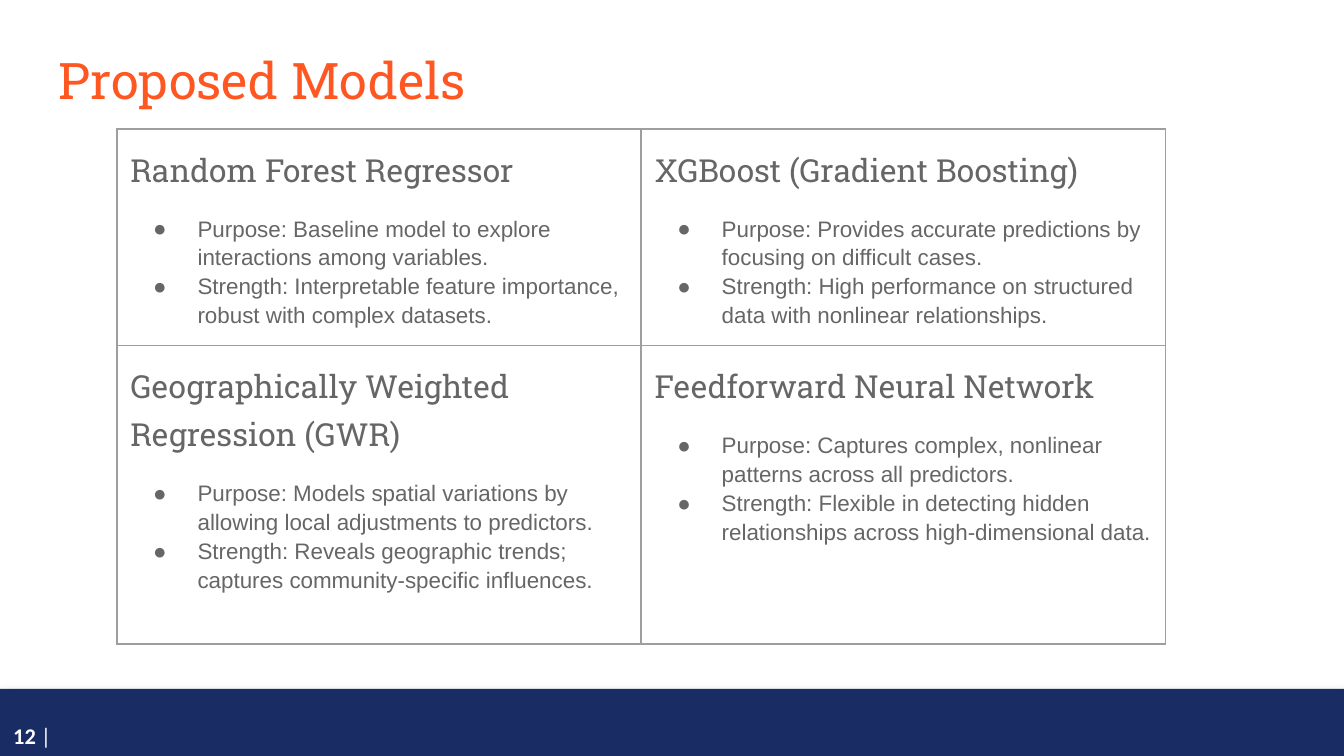
from dataclasses import dataclass

from lxml import etree
from pptx import Presentation
from pptx.dml.color import RGBColor
from pptx.enum.shapes import MSO_SHAPE
from pptx.enum.text import MSO_ANCHOR, PP_ALIGN
from pptx.oxml import parse_xml
from pptx.oxml.ns import nsdecls, qn
from pptx.util import Emu, Inches, Pt

RECT = MSO_SHAPE.RECTANGLE
MIDDLE, TOP = MSO_ANCHOR.MIDDLE, MSO_ANCHOR.TOP
LEFT = PP_ALIGN.LEFT

WIDTH = 10
HEIGHT = WIDTH * 9 / 16
FOOTER_HEIGHT = 0.5
ROW_HEIGHTS = (1.45, 2.22)


@dataclass(frozen=True)
class Theme:
    accent: str = "FF5722"
    text: str = "666666"
    border: str = "9E9E9E"
    footer: str = "1A2C64"
    shadow: str = "808080"
    white: str = "FFFFFF"
    slab: str = "Roboto Slab"
    body: str = "Arial"
    number: str = "Calibri"
    title_size: int = 27
    head_size: int = 17
    body_size: int = 12
    border_width: float = 0.75


T = Theme()

MODELS = [
    [
        ("Random Forest Regressor",
         "Purpose: Baseline model to explore interactions among variables.",
         "Strength: Interpretable feature importance, robust with complex datasets."),
        ("XGBoost (Gradient Boosting)",
         "Purpose: Provides accurate predictions by focusing on difficult cases.",
         "Strength: High performance on structured data with nonlinear relationships."),
    ],
    [
        ("Geographically Weighted Regression (GWR)",
         "Purpose: Models spatial variations by allowing local adjustments to predictors.",
         "Strength: Reveals geographic trends; captures community-specific influences."),
        ("Feedforward Neural Network",
         "Purpose: Captures complex, nonlinear patterns across all predictors.",
         "Strength: Flexible in detecting hidden relationships across high-dimensional data."),
    ],
]


def inches(*values):
    return [Inches(v) for v in values]


def add_run(p, text, font, size, color, bold=False):
    r = p.add_run()
    r.text = text
    r.font.name = font
    r.font.size = Pt(size)
    r.font.bold = bold
    r.font.color.rgb = RGBColor.from_string(color)


def set_margins(frame, side, edge):
    frame.margin_left = frame.margin_right = Inches(side)
    frame.margin_top = frame.margin_bottom = Inches(edge)


def add_bullet(p):
    pPr = p._p.get_or_add_pPr()
    pPr.set("marL", str(Inches(0.5)))
    pPr.set("indent", str(-Inches(0.33)))
    color = etree.SubElement(pPr, qn("a:buClr"))
    etree.SubElement(color, qn("a:srgbClr"), val=T.text)
    etree.SubElement(pPr, qn("a:buSzPts"), val=str(T.body_size * 100))
    etree.SubElement(pPr, qn("a:buFont"), typeface=T.body)
    etree.SubElement(pPr, qn("a:buChar"), char="●")


def add_borders(cell):
    tcPr = cell._tc.get_or_add_tcPr()
    for i, side in enumerate(("lnL", "lnR", "lnT", "lnB")):
        tcPr.insert(i, parse_xml(
            f'<a:{side} {nsdecls("a")} w="{Pt(T.border_width)}"><a:solidFill>'
            f'<a:srgbClr val="{T.border}"/></a:solidFill></a:{side}>'))


def add_title(s, box, text):
    tf = s.shapes.add_textbox(*box).text_frame
    tf.word_wrap = True
    tf.vertical_anchor = MIDDLE
    set_margins(tf, 0.1, 0.1)
    add_run(tf.paragraphs[0], text, T.slab, T.title_size, T.accent)


def add_footer(s, box, number):
    sp = s.shapes.add_shape(RECT, *box)
    sp.fill.solid()
    sp.fill.fore_color.rgb = RGBColor.from_string(T.footer)
    sp.line.fill.background()
    sp.shadow.inherit = False
    effects = sp._element.spPr.find(qn("a:effectLst"))
    effects.append(parse_xml(
        f'<a:outerShdw {nsdecls("a")} blurRad="{Pt(5)}" dist="{Pt(1.8)}" dir="5400000">'
        f'<a:srgbClr val="{T.shadow}"><a:alpha val="35000"/></a:srgbClr></a:outerShdw>'))
    tf = sp.text_frame
    tf.word_wrap = True
    tf.vertical_anchor = MIDDLE
    set_margins(tf, 0.1, 0.05)
    p = tf.paragraphs[0]
    p.alignment = LEFT
    p.line_spacing = 2.0
    add_run(p, f"{number} ", T.number, T.body_size, T.white, bold=True)
    add_run(p, "|", T.number, T.body_size, T.white)


def fill_cell(cell, heading, points):
    cell.fill.background()
    cell.vertical_anchor = TOP
    set_margins(cell, 0.1, 0.1)
    add_borders(cell)
    tf = cell.text_frame
    p = tf.paragraphs[0]
    p.line_spacing = 1.15
    add_run(p, heading, T.slab, T.head_size, T.text)
    for i, point in enumerate(points):
        p = tf.add_paragraph()
        p.line_spacing = 1.15
        p.space_before = Pt(0 if i else 12)
        add_bullet(p)
        add_run(p, point, T.body, T.body_size, T.text)


def add_models(s, box, rows, weights):
    left, top, width, height = box
    table = s.shapes.add_table(len(rows), len(rows[0]), *box).table
    table.first_row = table.horz_banding = False
    for column in table.columns:
        column.width = Emu(width // len(rows[0]))
    for i, (row, weight) in enumerate(zip(rows, weights)):
        table.rows[i].height = Emu(int(height * weight / sum(weights)))
        for j, (heading, *points) in enumerate(row):
            fill_cell(table.cell(i, j), heading, points)


def main():
    prs = Presentation()
    prs.slide_width, prs.slide_height = inches(WIDTH, HEIGHT)
    s = prs.slides.add_slide(prs.slide_layouts[6])
    add_title(s, inches(0.34, 0.27, 9.32, 0.64), "Proposed Models")
    add_footer(s, inches(0, HEIGHT - FOOTER_HEIGHT, WIDTH, FOOTER_HEIGHT), 12)
    add_models(s, inches(0.87, 0.96, 7.8, sum(ROW_HEIGHTS)), MODELS, ROW_HEIGHTS)
    prs.save("out.pptx")


if __name__ == "__main__":
    main()
